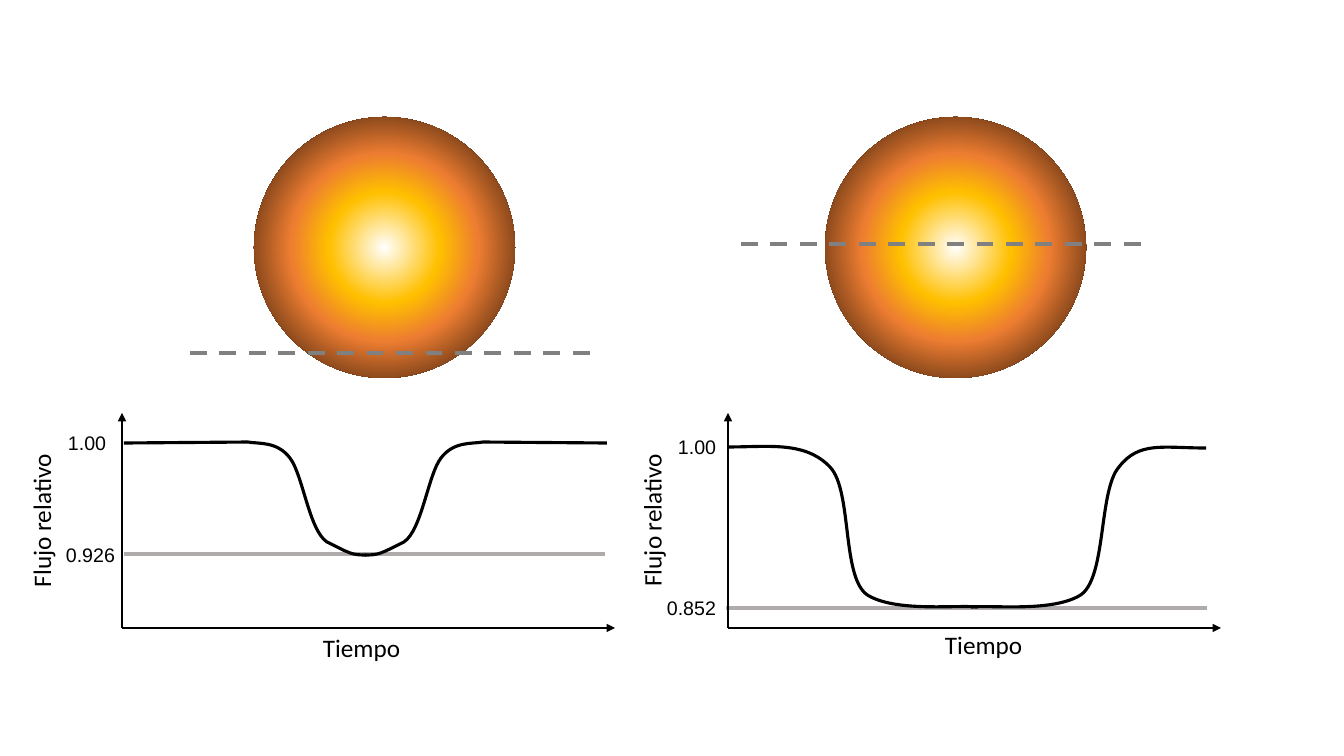
from dataclasses import dataclass

from lxml import etree
from pptx import Presentation
from pptx.dml.color import RGBColor
from pptx.enum.dml import MSO_LINE_DASH_STYLE as Dash
from pptx.enum.shapes import MSO_CONNECTOR as Connector, MSO_SHAPE as Shape
from pptx.enum.text import MSO_AUTO_SIZE as AutoSize
from pptx.oxml import parse_xml
from pptx.oxml.ns import nsdecls, qn
from pptx.util import Emu, Inches, Pt

SCALE = Inches(1) / 100.8


def px(length):
    return Emu(round(length * SCALE))


@dataclass(frozen=True)
class Theme:
    ink: str = "000000"
    level: str = "AFABAB"
    transit: str = "808080"
    star: tuple = ((0, "FFFFFF"), (30, "FFC000"), (51, "ED7D31"), (100, "000000"))
    value_font: str = "Arial"
    value_size: int = 14
    label_font: str = "Calibri"
    label_size: int = 18
    axis_width: float = 1.5
    curve_width: float = 2.25
    transit_width: float = 3


def write(frame, text, font, size, color, wrap=False):
    frame.word_wrap = wrap
    frame.auto_size = AutoSize.SHAPE_TO_FIT_TEXT
    run = frame.paragraphs[0].add_run()
    run.text = text
    run.font.name = font
    run.font.size = Pt(size)
    run.font.color.rgb = RGBColor.from_string(color)


def mirrored(segments, axis):
    return [[(2 * axis - x, y) for x, y in segment] for segment in segments]


class SlideBuilder:
    def __init__(self, slide, theme):
        self.slide = slide
        self.theme = theme

    def style_line(self, line, color, width):
        line.color.rgb = RGBColor.from_string(color)
        line.width = Pt(width)

    def line(self, start, end, color, width, dash=None, arrow=False):
        connector = self.slide.shapes.add_connector(
            Connector.STRAIGHT, *map(px, start + end)
        )
        self.style_line(connector.line, color, width)
        if dash:
            connector.line.dash_style = dash
        if arrow:
            outline = connector.line._get_or_add_ln()
            etree.SubElement(outline, qn("a:tailEnd"), type="triangle")
        etree.SubElement(connector._element.spPr, qn("a:effectLst"))

    def star(self, left, top, size):
        shape = self.slide.shapes.add_shape(
            Shape.OVAL, px(left), px(top), px(size), px(size)
        )
        shape.shadow.inherit = False
        shape.line.fill.background()
        shape.fill.solid()
        stops = "".join(
            f'<a:gs pos="{position * 1000}"><a:srgbClr val="{color}"/></a:gs>'
            for position, color in self.theme.star
        )
        gradient = parse_xml(
            f'<a:gradFill {nsdecls("a")} rotWithShape="1"><a:gsLst>{stops}</a:gsLst>'
            '<a:path path="circle"><a:fillToRect l="50000" t="50000" '
            'r="50000" b="50000"/></a:path></a:gradFill>'
        )
        properties = shape._element.spPr
        properties.replace(properties.find(qn("a:solidFill")), gradient)

    def half_curve(self, segments):
        anchors = [tuple(map(px, segment[-1])) for segment in segments]
        builder = self.slide.shapes.build_freeform(*anchors[0], scale=1.0)
        builder.add_line_segments(anchors[1:], close=False)
        shape = builder.convert_to_shape()
        edges = list(shape._element.iter(qn("a:lnTo")))
        for edge, segment in zip(edges, segments[1:]):
            if len(segment) == 3:
                curve = etree.Element(qn("a:cubicBezTo"))
                for x, y in segment:
                    etree.SubElement(
                        curve, qn("a:pt"),
                        x=str(px(x) - shape.left), y=str(px(y) - shape.top),
                    )
                edge.getparent().replace(edge, curve)
        shape.shadow.inherit = False
        shape.fill.background()
        self.style_line(shape.line, self.theme.ink, self.theme.curve_width)
        return shape

    def light_curve(self, *halves):
        self.slide.shapes.add_group_shape([self.half_curve(half) for half in halves])

    def axes(self, x, y):
        for end in ((x, 413), (x + 493, y)):
            self.line((x, y), end, self.theme.ink, self.theme.axis_width, arrow=True)

    def text(self, text, box, font, size, rotation=0, wrap=False):
        shape = self.slide.shapes.add_textbox(*map(px, box))
        shape.rotation = rotation
        write(shape.text_frame, text, font, size, self.theme.ink, wrap)

    def value(self, text, *box):
        self.text(text, box, self.theme.value_font, self.theme.value_size)

    def label(self, text, *box, **format):
        self.text(text, box, self.theme.label_font, self.theme.label_size, **format)


theme = Theme()
presentation = Presentation()
presentation.slide_width = Inches(13.333)
presentation.slide_height = Inches(7.5)
builder = SlideBuilder(
    presentation.slides.add_slide(presentation.slide_layouts[6]), theme
)

for start, end in (((1207, 608), (726, 608)), ((605, 554), (124, 554))):
    builder.line(start, end, theme.level, theme.curve_width)
for left in (254, 825):
    builder.star(left, 117, 261)
for x in (122, 728):
    builder.axes(x, 628)
for x, y in ((190, 353), (741, 244)):
    builder.line(
        (x, y), (x + 404, y), theme.transit, theme.transit_width, dash=Dash.DASH
    )

grazing_half = [
    [(124, 443)],
    [(248, 442)],
    [(259, 444), (277, 441), (290, 458)],
    [(303, 475), (309, 530), (327, 542)],
    [(351, 554), (352, 555), (366, 555)],
]
central_ingress = [
    [(728, 447)],
    [(769, 447), (805, 441), (830, 467)],
    [(853, 491), (841, 581), (869, 596)],
    [(898, 612), (954, 605), (978, 607)],
]
central_egress = [
    [(1206, 448)],
    [(1163, 448), (1139, 441), (1119, 467)],
    [(1098, 491), (1107, 581), (1079, 596)],
    [(1050, 612), (994, 605), (971, 607)],
]
builder.light_curve(central_ingress, central_egress)
builder.light_curve(grazing_half, mirrored(grazing_half, 365.5))

builder.value("1.00", 58, 426, 60, 34)
builder.value("1.00", 668, 430, 60, 34)
builder.value("0.926", 56, 538, 70, 34)
builder.value("0.852", 657, 591, 70, 34)
builder.label("Flujo relativo", -36, 500, 154, 40, rotation=270)
builder.label("Flujo relativo", 550, 475, 203, 40, rotation=270, wrap=True)
builder.label("Tiempo", 313, 627, 99, 40)
builder.label("Tiempo", 935, 624, 99, 40)

presentation.save("out.pptx")
